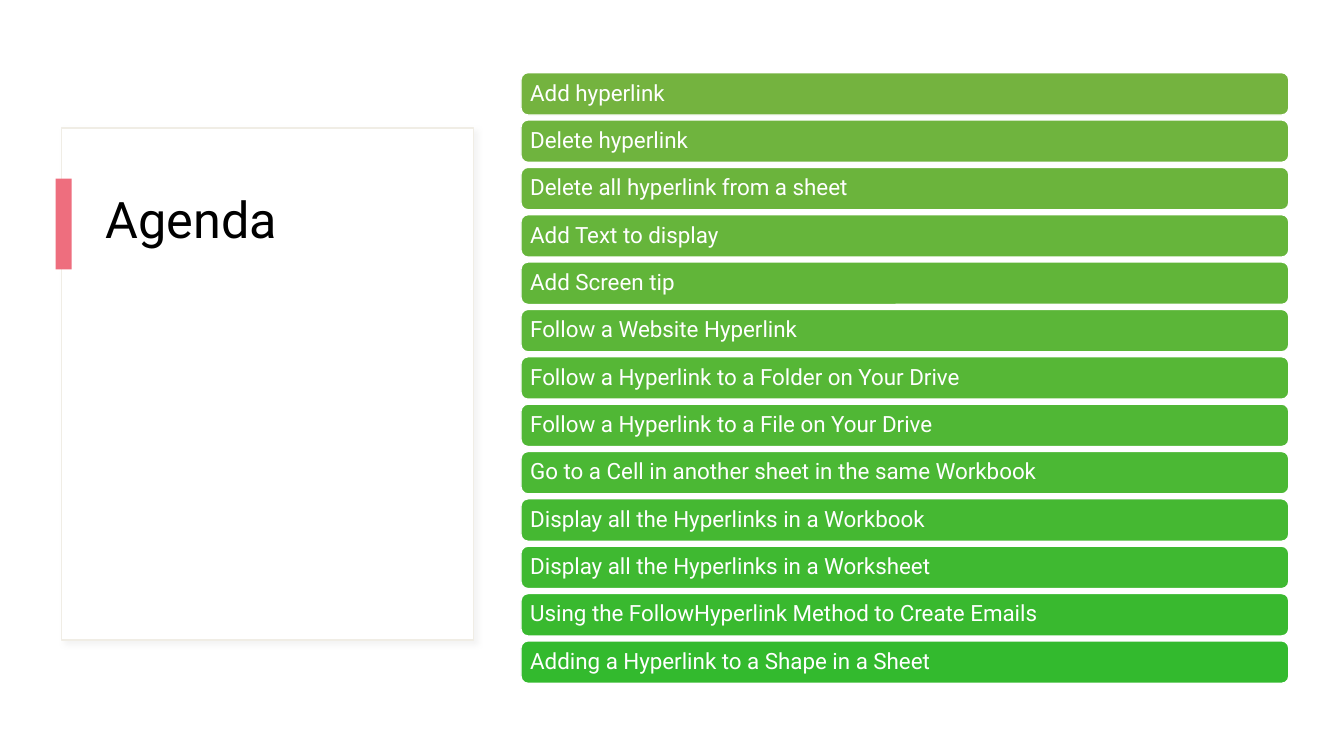
from lxml.etree import SubElement
from pptx import Presentation
from pptx.dml.color import RGBColor
from pptx.enum.shapes import MSO_SHAPE as Preset
from pptx.enum.text import MSO_ANCHOR as Anchor, PP_ALIGN as Align
from pptx.oxml.ns import qn
from pptx.util import Cm, Pt

TITLE = "Agenda"
TOPICS = [
    ("Add hyperlink", "74B33F"),
    ("Delete hyperlink", "6FB43E"),
    ("Delete all hyperlink from a sheet", "6BB43C"),
    ("Add Text to display", "66B53B"),
    ("Add Screen tip", "61B539"),
    ("Follow a Website Hyperlink", "5BB638"),
    ("Follow a Hyperlink to a Folder on Your Drive", "56B736"),
    ("Follow a Hyperlink to a File on Your Drive", "50B735"),
    ("Go to a Cell in another sheet in the same Workbook", "4BB834"),
    ("Display all the Hyperlinks in a Workbook", "45B832"),
    ("Display all the Hyperlinks in a Worksheet", "3FB931"),
    ("Using the FollowHyperlink Method to Create Emails", "39B92F"),
    ("Adding a Hyperlink to a Shape in a Sheet", "33BA2E"),
]
FONT = "Roboto"
BAR_LEFT, BAR_WIDTH, BAR_HEIGHT = 13.13, 19.35, 1.07
FIRST_TOP, LAST_TOP = 1.83, 16.15
CARD = (1.55, 3.23, 10.39, 12.9)
ACCENT = (1.4, 4.5, 0.41, 2.29)
TITLE_AREA = (2.41, 4.78, 8.61, 9.78)


def colour(code):
    return RGBColor.from_string(code)


def add_block(page, preset, area, fill, line=None):
    block = page.shapes.add_shape(preset, *map(Cm, area))
    block.shadow.inherit = False
    block.fill.solid()
    block.fill.fore_color.rgb = colour(fill)
    if line:
        block.line.color.rgb = colour(line)
        block.line.width = Pt(1)
    else:
        block.line.fill.background()
    return block


def add_soft_shadow(block, code):
    effects = block._element.spPr.find(qn("a:effectLst"))
    shadow = SubElement(effects, qn("a:outerShdw"), blurRad=str(Pt(4)),
                        dist=str(Pt(3)), dir="2700000", algn="tl", rotWithShape="0")
    tint = SubElement(shadow, qn("a:srgbClr"), val=code)
    SubElement(tint, qn("a:alpha"), val="30000")


def write(box, text, size, code, anchor):
    frame = box.text_frame
    frame.word_wrap = True
    frame.vertical_anchor = anchor
    para = frame.paragraphs[0]
    para.alignment = Align.LEFT
    para.line_spacing = 0.9
    span = para.add_run()
    span.text = text
    span.font.name = FONT
    span.font.size = Pt(size)
    span.font.color.rgb = colour(code)
    return frame


def main():
    """Build the agenda slide and save it."""
    deck = Presentation()
    deck.slide_width, deck.slide_height = Cm(33.87), Cm(19.05)
    page = deck.slides.add_slide(deck.slide_layouts[6])

    card = add_block(page, Preset.RECTANGLE, CARD, "FFFFFF", "F0EDE5")
    add_soft_shadow(card, "D9D9D9")
    title = page.shapes.add_textbox(*map(Cm, TITLE_AREA))
    write(title, TITLE, 36, "000000", Anchor.TOP)
    add_block(page, Preset.RECTANGLE, ACCENT, "EE6E7E")

    step = (LAST_TOP - FIRST_TOP) / (len(TOPICS) - 1)
    for index, (topic, fill) in enumerate(TOPICS):
        area = (BAR_LEFT, FIRST_TOP + index * step, BAR_WIDTH, BAR_HEIGHT)
        bar = add_block(page, Preset.ROUNDED_RECTANGLE, area, fill, "FFFFFF")
        frame = write(bar, topic, 16, "FFFFFF", Anchor.MIDDLE)
        frame.margin_left = frame.margin_right = Cm(0.18)
        frame.margin_top = frame.margin_bottom = Cm(0.18)

    deck.save("out.pptx")


if __name__ == "__main__":
    main()
